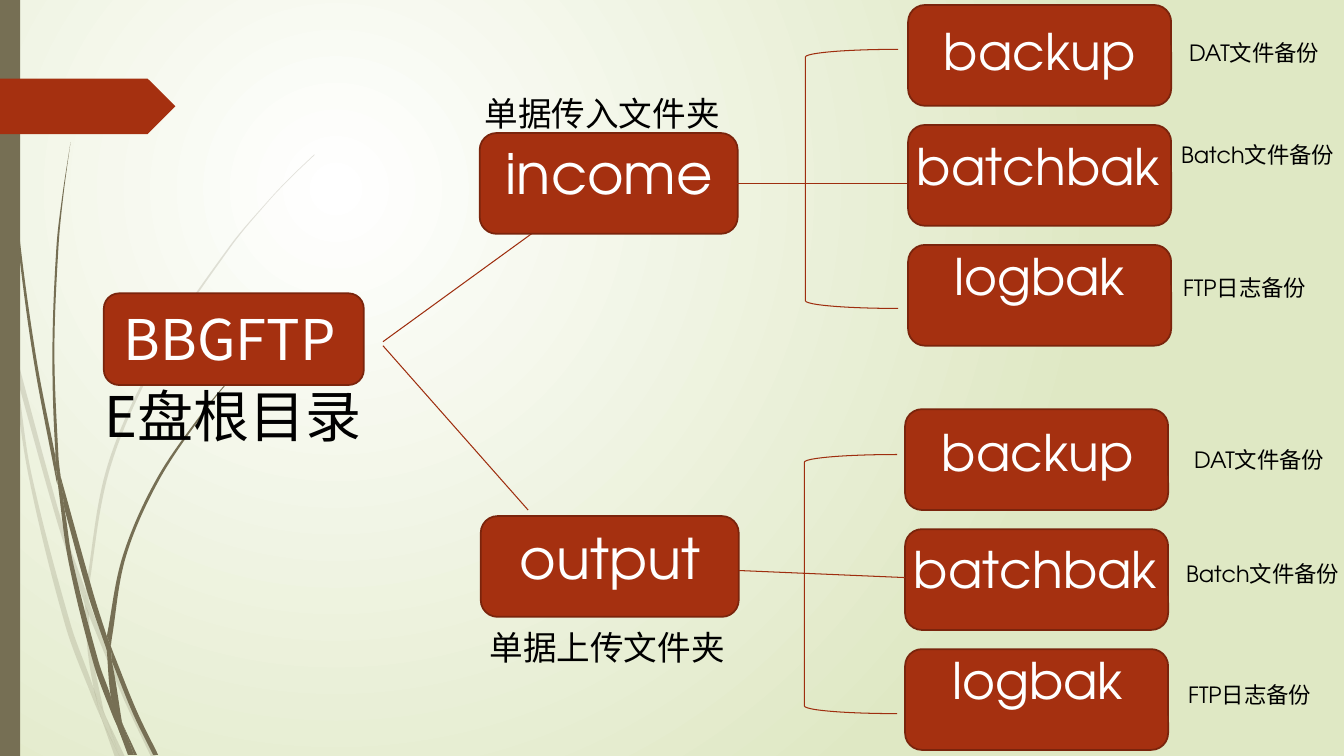
from dataclasses import dataclass

from lxml.etree import SubElement
from pptx import Presentation
from pptx.dml.color import RGBColor
from pptx.enum.shapes import MSO_CONNECTOR, MSO_SHAPE
from pptx.enum.text import MSO_AUTO_SIZE, PP_ALIGN
from pptx.oxml.ns import qn
from pptx.shapes.autoshape import Shape
from pptx.slide import Slide
from pptx.util import Cm, Pt

Point = tuple[float, float]
Box = tuple[float, float, float, float]
Wisp = tuple[list[Point], list[Point]]  # left and right edge, from top to bottom


@dataclass(frozen=True)
class Theme:
    red: str = "A53010"
    edge: str = "7A240C"
    line: str = "9E2E0F"
    stem: str = "766F54"
    white: str = "FFFFFF"
    black: str = "000000"
    pale: str = "DFE8C4"
    latin: str = "TeX Gyre Adventor"
    han: str = "Noto Sans CJK SC"
    big: int = 40
    leaf: int = 36
    mid: int = 24
    note: int = 16


@dataclass(frozen=True)
class Leaf:
    name: str
    text: Box
    note: str
    spot: Box


@dataclass(frozen=True)
class Branch:
    name: str
    tile: Point
    text: Box
    title: str
    spot: Box
    root: tuple[Point, Point]
    brace: Point
    link: tuple[Point, Point]
    first: Point
    leaves: list[Leaf]


THEME = Theme()
STEP = 1.19

FAINT: list[Wisp] = [
    ([(0, 2.99), (.1, 3.44)], [(0, 2.82), (.09, 3.22), (.11, 3.5)]),
    ([(.17, 3.76), (.58, 5.22), (.84, 5.99)], [(.14, 3.45), (.62, 5.2), (.85, 5.86)]),
    ([(.88, 6.1), (1.23, 6.94), (1.5, 7.51)], [(.88, 5.96), (.92, 6.07), (1.27, 6.92), (1.55, 7.51)]),
    ([(1.05, 7.11), (1.19, 7.51)], [(1.05, 7.11), (1.24, 7.51)]),
    ([(.11, 3.5), (.28, 4.7), (.65, 6.21), (.92, 6.93), (1.01, 7.14)],
     [(.11, 3.5), (.17, 3.76), (.31, 4.69), (.7, 6.19), (.93, 6.83), (.99, 7.07)]),
    ([(.84, 5.99), (.87, 6.46), (.93, 6.83), (.96, 6.92), (1.05, 7.11)], [(.88, 6.08), (.91, 6.46), (1.03, 7.06)]),
    ([(3.12, 1.53), (2.89, 1.75), (2.68, 1.97), (2.28, 2.44), (1.58, 3.48), (1.07, 4.61), (.85, 5.84)],
     [(3.12, 1.54), (2.9, 1.75), (2.68, 1.98), (2.29, 2.45), (1.6, 3.49), (1.1, 4.62), (.88, 5.84), (.88, 5.96)]),
    ([(1.01, 7.14), (1.14, 7.51)], [(1.01, 7.14), (1.19, 7.51)]),
    ([(.85, 5.86), (.84, 5.99)], [(.88, 5.96), (.88, 6.1)]),
    ([(.93, 6.83), (.99, 7.07), (1.01, 7.14), (1.19, 7.51)], [(.93, 6.83), (.96, 6.92), (1.05, 7.11), (1.19, 7.51)]),
]
SOLID: list[Wisp] = [
    ([(.03, 0), (.04, .48), (.07, 1.1), (.17, 2.33), (.33, 3.55), (.56, 4.77), (.57, 4.81)],
     [(.04, 0), (.05, .48), (.08, 1.09), (.19, 2.32), (.36, 3.55), (.55, 4.53)]),
    ([(.64, 5.05), (.88, 5.92), (1.06, 6.45)], [(.6, 4.72), (.93, 5.9), (1.06, 6.31)]),
    ([(1.11, 6.56), (1.32, 7.08), (1.52, 7.49)], [(1.1, 6.41), (1.13, 6.49), (1.36, 7.06), (1.57, 7.49)]),
    ([(.57, 4.77), (.68, 5.57), (.93, 6.59), (1.11, 7.08), (1.17, 7.22)],
     [(.57, 4.77), (.64, 5.05), (.72, 5.56), (.98, 6.57), (1.1, 6.91), (1.16, 7.17)]),
    ([(.7, 1.41), (.62, 1.93), (.56, 2.45), (.52, 3.49), (.55, 4.49), (.6, 4.72)],
     [(.7, 1.41), (.63, 1.93), (.58, 2.45), (.54, 3.49), (.58, 4.53), (.6, 4.72)]),
    ([(1.22, 7.19), (1.33, 7.49)], [(1.22, 7.19), (1.36, 7.49)]),
    ([(.55, 4.49), (.55, 4.53), (.57, 4.77), (.64, 5.05)], [(.55, 4.49), (.6, 4.72), (.64, 5.05)]),
    ([(2.6, 3.44), (2.31, 3.73), (2.04, 4.05), (1.56, 4.74), (1.22, 5.51), (1.06, 6.31)],
     [(2.61, 3.44), (2.31, 3.74), (2.05, 4.06), (1.58, 4.76), (1.25, 5.52), (1.11, 6.33), (1.1, 6.41)]),
    ([(1.17, 7.22), (1.27, 7.49)], [(1.17, 7.22), (1.31, 7.49)]),
    ([(1.06, 6.45), (1.1, 6.91), (1.16, 7.06), (1.22, 7.19)], [(1.06, 6.45), (1.11, 6.56), (1.21, 7.16)]),
    ([(1.06, 6.31), (1.06, 6.45), (1.11, 6.56)], [(1.06, 6.31), (1.1, 6.41)]),
    ([(1.1, 6.91), (1.17, 7.22), (1.3, 7.49)], [(1.1, 6.91), (1.22, 7.19), (1.33, 7.49)]),
]

BRANCHES = [
    Branch("income", (4.76, 1.32), (4.65, 1.33, 2.79, .77), "单据传入文件夹", (4.71, .87, 2.66, .5),
           ((5.81, 1.93), (3.8, 3.39)), (7.99, .49), ((7.31, 1.82), (9, 1.82)), (9.01, .05),
           [Leaf("backup", (9.02, .15, 2.59, .71), "DAT文件备份", (11.7, .34, 1.52, .37)),
            Leaf("batchbak", (8.91, 1.29, 2.79, .71), "Batch文件备份", (11.62, 1.35, 1.88, .37)),
            Leaf("logbak", (9.02, 2.38, 2.59, .71), "FTP日志备份", (11.64, 2.67, 1.59, .37))]),
    Branch("output", (4.77, 5.12), (4.75, 5.14, 2.61, .77), "单据上传文件夹", (4.76, 6.17, 2.63, .5),
           ((3.8, 3.43), (5.24, 5.06)), (7.98, 4.51), ((7.33, 5.66), (8.98, 5.73)), (8.98, 4.06),
           [Leaf("backup", (9, 4.13, 2.59, .71), "DAT文件备份", (11.75, 4.38, 1.52, .37)),
            Leaf("batchbak", (8.88, 5.29, 2.79, .71), "Batch文件备份", (11.67, 5.51, 1.88, .37)),
            Leaf("logbak", (9, 6.39, 2.59, .71), "FTP日志备份", (11.69, 6.71, 1.59, .37))]),
]


def cm(inches: float) -> Cm:
    return Cm(inches * 2.54)


def rgb(code: str) -> RGBColor:
    return RGBColor.from_string(code)


def paint(shape: Shape, fill: str = "", line: str = "", width: float = 1.25) -> None:
    shape.shadow.inherit = False
    if fill:
        shape.fill.solid()
        shape.fill.fore_color.rgb = rgb(fill)
    else:
        shape.fill.background()
    if line:
        shape.line.color.rgb = rgb(line)
        shape.line.width = Pt(width)
    else:
        shape.line.fill.background()


def add_form(slide: Slide, kind: MSO_SHAPE, box: Box) -> Shape:
    return slide.shapes.add_shape(kind, *map(cm, box))


def add_tile(slide: Slide, box: Box) -> None:
    paint(add_form(slide, MSO_SHAPE.ROUNDED_RECTANGLE, box), THEME.red, THEME.edge)


def add_text(slide: Slide, text: str, box: Box, size: int, color: str = THEME.black,
             face: str = THEME.latin, align: PP_ALIGN = PP_ALIGN.LEFT) -> None:
    frame = slide.shapes.add_textbox(*map(cm, box)).text_frame
    frame.word_wrap = True
    frame.auto_size = MSO_AUTO_SIZE.SHAPE_TO_FIT_TEXT
    para = frame.paragraphs[0]
    para.text = text
    para.alignment = align
    para.font.name = face
    para.font.size = Pt(size)
    para.font.color.rgb = rgb(color)


def add_line(slide: Slide, start: Point, end: Point) -> None:
    line = slide.shapes.add_connector(MSO_CONNECTOR.STRAIGHT, *map(cm, start + end))
    line.line.color.rgb = rgb(THEME.line)
    line.line.width = Pt(.75)
    SubElement(line.element.spPr, qn("a:effectLst"))


def slopes(edge: list[Point]) -> list[float]:
    pairs = zip(edge[:1] + edge[:-1], edge[1:] + edge[-1:])
    return [(b[0] - a[0]) / (b[1] - a[1]) for a, b in pairs]


def bend(shape: Shape, leans: list[float], joint: int) -> None:
    """Turn the straight sides into cubic curves, except the one that ends at the joint."""
    trail = next(shape.element.iter(qn("a:path")))
    spots = [(int(pt.get("x")), int(pt.get("y"))) for pt in trail.iter(qn("a:pt"))]
    for i, side in enumerate(trail.findall(qn("a:lnTo")), 1):
        if i == joint:
            continue
        (x0, y0), (x1, y1) = spots[i - 1:i + 1]
        third = (y1 - y0) / 3
        side.tag = qn("a:cubicBezTo")
        side.remove(side[0])
        for x, y in ((x0 + leans[i - 1] * third, y0 + third), (x1 - leans[i] * third, y1 - third), (x1, y1)):
            SubElement(side, qn("a:pt"), x=str(round(x)), y=str(round(y)))


def add_wisp(slide: Slide, wisp: Wisp, alpha: int = 100) -> None:
    left, right = wisp
    points = [(cm(x), cm(y)) for x, y in left + right[::-1]]
    pen = slide.shapes.build_freeform(*points[0], scale=1.0)
    pen.add_line_segments(points[1:], close=True)
    shape = pen.convert_to_shape()
    bend(shape, slopes(left) + slopes(right)[::-1], len(left))
    paint(shape, THEME.stem)
    if alpha < 100:
        color = shape.element.spPr.find(qn("a:solidFill") + "/" + qn("a:srgbClr"))
        SubElement(color, qn("a:alpha"), val=str(alpha * 1000))


def add_glow(slide: Slide) -> None:
    """Fill the background with a circle of light, up and left of the centre."""
    fill = slide.background.fill
    fill.gradient()
    for stop, color, place in zip(fill.gradient_stops, (THEME.white, THEME.pale), (0, 1)):
        stop.color.rgb = rgb(color)
        stop.position = place
    grad = next(slide.element.iter(qn("a:gradFill")))
    grad.remove(grad.find(qn("a:lin")))
    ring = SubElement(grad, qn("a:path"), path="circle")
    SubElement(ring, qn("a:fillToRect"), l="50000", t="50000", r="100000", b="100000")


def add_branch(slide: Slide, branch: Branch) -> None:
    add_line(slide, *branch.root)
    add_tile(slide, (*branch.tile, 2.56, 1))
    add_text(slide, branch.name, branch.text, THEME.big, THEME.white, align=PP_ALIGN.CENTER)
    add_text(slide, branch.title, branch.spot, THEME.mid)
    left, top = branch.first
    for row, leaf in enumerate(branch.leaves):
        add_tile(slide, (left, top + row * STEP, 2.61, 1))
        add_text(slide, leaf.name, leaf.text, THEME.leaf, THEME.white, align=PP_ALIGN.CENTER)
        add_text(slide, leaf.note, leaf.spot, THEME.note)
    brace = add_form(slide, MSO_SHAPE.LEFT_BRACKET, (*branch.brace, .92, 2.57))
    paint(brace, line=THEME.line, width=.75)
    add_line(slide, *branch.link)


def main() -> None:
    deck = Presentation()
    deck.slide_width, deck.slide_height = Cm(33.87), Cm(19.05)
    slide = deck.slides.add_slide(deck.slide_layouts[6])
    add_glow(slide)
    for wisp in FAINT:
        add_wisp(slide, wisp, 20)
    for wisp in SOLID:
        add_wisp(slide, wisp)
    paint(add_form(slide, MSO_SHAPE.RECTANGLE, (0, 0, .2, 7.5)), THEME.stem)
    paint(add_form(slide, MSO_SHAPE.PENTAGON, (0, .78, 1.74, .55)), THEME.red)
    add_tile(slide, (1.03, 2.91, 2.58, .91))
    add_text(slide, "BBGFTP", (1.13, 2.97, 2.58, .77), THEME.big, THEME.white, THEME.han)
    add_text(slide, "E盘根目录", (.94, 3.74, 2.82, .77), THEME.big, face=THEME.han)
    for branch in BRANCHES:
        add_branch(slide, branch)
    deck.save("out.pptx")


if __name__ == "__main__":
    main()
